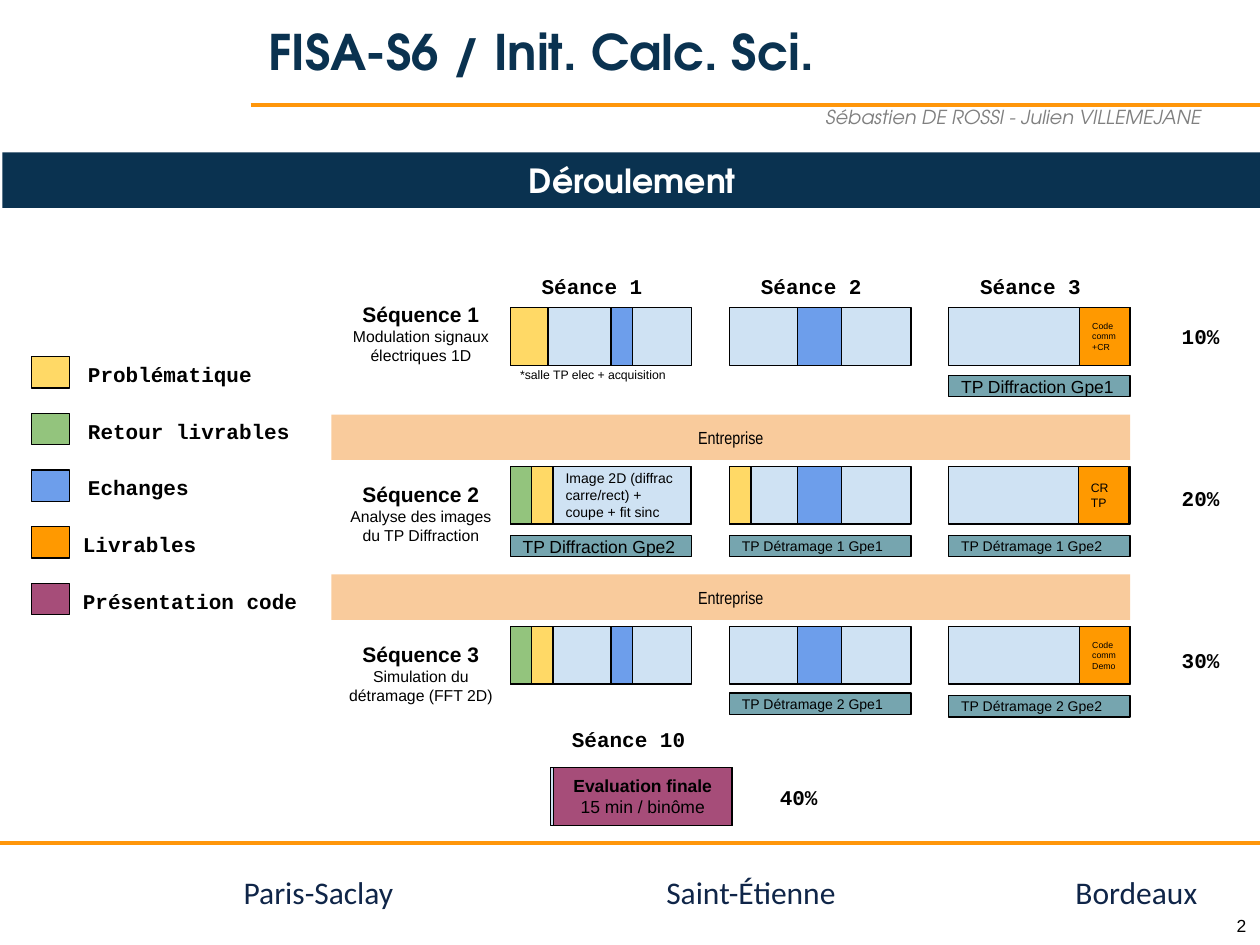
from pptx import Presentation
from pptx.dml.color import RGBColor
from pptx.enum.shapes import MSO_CONNECTOR, MSO_SHAPE
from pptx.enum.text import MSO_ANCHOR, PP_ALIGN
from pptx.oxml.ns import qn
from pptx.util import Inches, Pt
from lxml import etree

COLORS = {
    "black": "000000", "white": "FFFFFF", "navy": "0A3250", "footer": "0F2548",
    "grey": "7F7F7F", "rule": "FF960A", "session": "CFE2F3", "problem": "FFD966",
    "feedback": "93C47D", "exchange": "6D9EEB", "deliverable": "FF9900",
    "demo": "A64D79", "company": "F9CB9C", "lab": "76A5AF",
}
RGB = {name: RGBColor.from_string(value) for name, value in COLORS.items()}
HEADING = {"name": "TeX Gyre Adventor", "bold": True}
MONO = {"name": "Courier New", "size": Pt(12), "bold": True}
BOLD = {"name": "Arial", "size": Pt(12), "bold": True}
LEFT, CENTER, RIGHT = PP_ALIGN.LEFT, PP_ALIGN.CENTER, PP_ALIGN.RIGHT
TOP, MIDDLE = MSO_ANCHOR.TOP, MSO_ANCHOR.MIDDLE

prs = Presentation()
prs.slide_width, prs.slide_height = Inches(10), Inches(7.5)
slide = prs.slides.add_slide(prs.slide_layouts[6])


def add_text(box, lines, align=LEFT, anchor=TOP, color="black", inset=0.1, s=None):
    """Write (text, font values) lines in shape s, or in a new text box."""
    s = s or slide.shapes.add_textbox(*map(Inches, box))
    tf = s.text_frame
    frame = {"word_wrap": True, "vertical_anchor": anchor,
             "margin_left": Inches(0.1), "margin_right": Inches(0.1),
             "margin_top": Inches(inset), "margin_bottom": Inches(inset)}
    for key, value in frame.items():
        setattr(tf, key, value)
    for i, (text, font) in enumerate(lines):
        p = tf.add_paragraph() if i else tf.paragraphs[0]
        p.alignment = align
        r = p.add_run()
        r.text = text
        for key, value in font.items():
            setattr(r.font, key, value)
        r.font.color.rgb = RGB[color]


def add_rect(box, fill, lines=(), outline=True, **text_options):
    s = slide.shapes.add_shape(MSO_SHAPE.RECTANGLE, *map(Inches, box))
    s.shadow.inherit = False
    s.fill.solid()
    s.fill.fore_color.rgb = RGB[fill]
    if outline:
        s.line.color.rgb = RGB["black"]
        s.line.width = Pt(0.75)
    else:
        s.line.fill.background()
    if lines:
        add_text(box, lines, s=s, **{"anchor": MIDDLE, **text_options})


# Rules above and below the content
for left, y in [(1.99, 0.83), (0, 6.69)]:
    c = slide.shapes.add_connector(
        MSO_CONNECTOR.STRAIGHT, Inches(left), Inches(y), Inches(10), Inches(y))
    c.line.color.rgb = RGB["rule"]
    c.line.width = Pt(2.25)
    etree.SubElement(c._element.spPr, qn("a:effectLst"))

# Footer
for city, left, width in [("Paris-Saclay", 1.68, 1.54),
                          ("Saint-Étienne", 4.97, 1.76), ("Bordeaux", 8.28, 1.32)]:
    add_text((left, 6.88, width, 0.4), [(city, {"name": "Calibri", "size": Pt(18)})],
             RIGHT, color="footer", inset=0.05)
add_text((9.55, 7.21, 0.44, 0.29), [("2", {"name": "Arial", "size": Pt(10)})],
         RIGHT, inset=0.05)

# Title, authors and section banner
add_text((2.03, 0.03, 8.02, 0.75),
         [("FISA-S6 / Init. Calc. Sci.", {**HEADING, "size": Pt(28)})],
         anchor=MIDDLE, color="navy", inset=0.05)
add_text((6.09, 0.83, 3.91, 0.2),
         [("Sébastien DE ROSSI - Julien VILLEMEJANE",
           {"name": "TeX Gyre Adventor", "size": Pt(11), "italic": True})],
         CENTER, MIDDLE, "grey", 0.05)
add_rect((0.02, 1.21, 10, 0.44), "navy", [("Déroulement", {**HEADING, "size": Pt(19)})],
         outline=False, align=CENTER, color="white", inset=0.05)

# Session grid
cols, rows = [4.05, 5.79, 7.53], [2.44, 3.7, 4.97]
cell_w, cell_h = 1.44, 0.46
for i, x in enumerate(cols):
    add_text((x + 0.15, 2.07, 1.12, 0.36), [(f"Séance {i + 1}", MONO)])
    for y in rows:
        add_rect((x, y, cell_w, cell_h), "session")

# Sequence names and weights
sequences = [("Modulation signaux électriques 1D", 2.29, "10%", 2.47),
             ("Analyse des images du TP Diffraction", 3.72, "20%", 3.75),
             ("Simulation du détramage (FFT 2D)", 4.99, "30%", 5.04)]
for i, (topic, y, weight, weight_y) in enumerate(sequences):
    add_text((2.63, y, 1.42, 0.72),
             [(f"Séquence {i + 1}", BOLD), (topic, {"name": "Arial", "size": Pt(9)})],
             CENTER)
    add_text((9.28, weight_y, 0.58, 0.36), [(weight, MONO)])

# Parts of each session: row, column, offset, width, colour, text, size
parts = [
    (0, 0, 0, 0.3, "problem", [], 0),
    (0, 0, 0.8, 0.17, "exchange", [], 0),
    (0, 1, 0.54, 0.35, "exchange", [], 0),
    (0, 2, 1.04, 0.4, "deliverable", ["Code comm", "+CR"], 5),
    (1, 0, 0, 0.17, "feedback", [], 0),
    (1, 0, 0.17, 0.17, "problem", [], 0),
    (1, 0, 0.34, 1.09, "session",
     ["Image 2D (diffrac carre/rect) + coupe + fit sinc"], 8),
    (1, 1, 0, 0.17, "problem", [], 0),
    (1, 1, 0.54, 0.35, "exchange", [], 0),
    (1, 2, 1.03, 0.4, "deliverable", ["CR TP"], 7),
    (2, 0, 0, 0.17, "feedback", [], 0),
    (2, 0, 0.17, 0.17, "problem", [], 0),
    (2, 0, 0.8, 0.17, "exchange", [], 0),
    (2, 1, 0.54, 0.35, "exchange", [], 0),
    (2, 2, 1.04, 0.4, "deliverable", ["Code comm", "Demo"], 5),
]
for row, col, dx, width, fill, texts, size in parts:
    add_rect((cols[col] + dx, rows[row], width, cell_h), fill,
             [(t, {"name": "Arial", "size": Pt(size)}) for t in texts])

# Lab sessions under the grid cells
labs = [("Diffraction Gpe1", 2, 2.98, 10), ("Diffraction Gpe2", 0, 4.25, 10),
        ("Détramage 1 Gpe1", 1, 4.25, 8), ("Détramage 1 Gpe2", 2, 4.25, 8),
        ("Détramage 2 Gpe1", 1, 5.5, 8), ("Détramage 2 Gpe2", 2, 5.52, 8)]
for name, col, y, size in labs:
    add_rect((cols[col], y, cell_w, 0.17), "lab",
             [(f"TP {name}", {"name": "Arial", "size": Pt(size)})])
add_text((4.03, 2.86, 1.44, 0.25),
         [("*salle TP elec + acquisition", {"name": "Arial", "size": Pt(7)})])

# Company periods between sequences
for y in (3.29, 4.56):
    add_rect((2.63, y, 6.34, 0.36), "company",
             [("Entreprise", {"name": "Arial Narrow", "size": Pt(10)})],
             outline=False, align=CENTER, anchor=TOP)

# Final assessment
add_text((4.44, 5.67, 1.12, 0.36), [("Séance 10", MONO)])
add_rect((4.37, 6.09, cell_w, cell_h), "session")
add_rect((4.39, 6.09, 1.42, cell_h), "demo",
         [("Evaluation finale", {**BOLD, "size": Pt(10)}),
          ("15 min / binôme", {"name": "Arial", "size": Pt(10)})], align=CENTER)
add_text((6.09, 6.13, 0.58, 0.36), [("40%", MONO)])

# Legend
legend = [("Problématique", "problem", 0.6), ("Retour livrables", "feedback", 0.6),
          ("Echanges", "exchange", 0.6), ("Livrables", "deliverable", 0.56),
          ("Présentation code", "demo", 0.56)]
for i, (label, fill, left) in enumerate(legend):
    y = 2.83 + 0.45 * i
    add_rect((0.25, y, 0.3, 0.25), fill)
    add_text((left, y - 0.06, 2.2, 0.36), [(label, MONO)])

prs.save("out.pptx")
